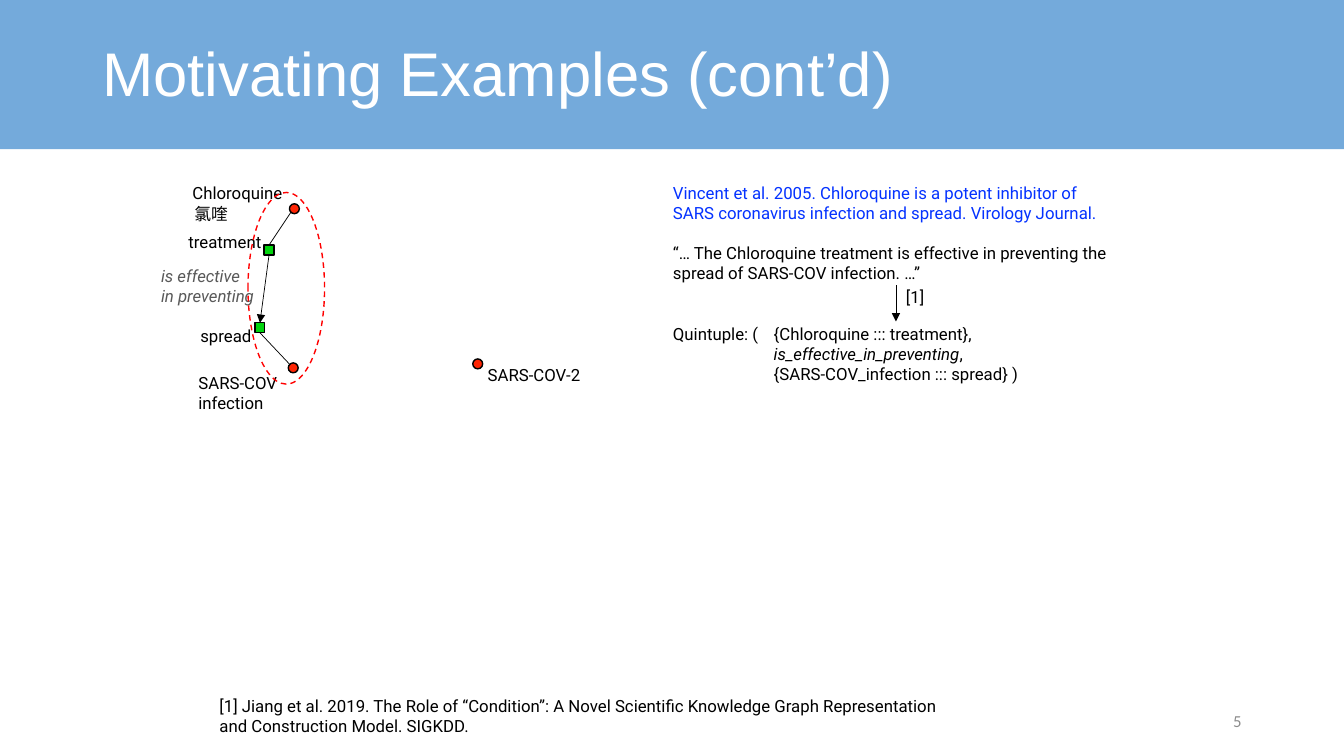
"""Build the "Motivating Examples (cont'd)" slide with its small concept graph."""
from dataclasses import dataclass

from lxml import etree
from pptx import Presentation
from pptx import util as u
from pptx.dml.color import RGBColor
from pptx.enum import dml, shapes, text
from pptx.oxml.ns import qn

SLIDE = (33.87, 19.05)
BAR_H = 3.76
NODE = 0.25
TAB = 2.54

TITLE = "Motivating Examples (cont’d)"
PAGE = "5"

NODES = {
    "chloroquine": ("concept", 7.42, 5.26),
    "treatment": ("attribute", 6.78, 6.3),
    "spread": ("attribute", 6.55, 8.26),
    "infection": ("concept", 7.39, 9.27),
    "sars2": ("concept", 12.04, 9.17),
}
LINKS = [
    ("chloroquine", "treatment", False),
    ("treatment", "spread", True),
    ("infection", "spread", False),
]
LABELS = [
    (["SARS-COV-2"], (12.04, 9.07, 3.1, 0.76)),
    (["SARS-COV", "infection"], (4.75, 9.27, 2.74, 1.27)),
    (["spread"], (4.8, 8.08, 1.83, 0.76)),
    (["treatment"], (4.5, 5.72, 2.34, 0.76)),
    (["Chloroquine"], (4.6, 4.47, 2.79, 0.76)),
    (["氯喹"], (4.65, 5, 1.37, 0.76)),
    (["[1]"], (22.58, 7.09, 0.99, 0.76)),
]
RELATION = (["is effective", "in preventing"], (3.81, 6.58, 2.95, 1.27))
GROUP = (6.25, 4.85, 1.93, 4.83)
STEP = ((22.58, 7.19), (22.58, 8.1))

PAPER = ("Vincent et al. 2005. Chloroquine is a potent inhibitor of SARS "
         "coronavirus infection and spread. Virology Journal.")
QUOTE = ("“… The Chloroquine treatment is effective in preventing the spread "
         "of SARS-COV infection. …”")
QUINTUPLE = [
    [("Quintuple: (\t{Chloroquine ::: treatment},", {})],
    [("is_effective_in_preventing", {"italic": True}), (",", {})],
    [("{SARS-COV_infection ::: spread} )", {})],
]
REFERENCE = ("[1] Jiang et al. 2019. The Role of “Condition”: A Novel Scientific "
             "Knowledge Graph Representation and Construction Model. SIGKDD.")


@dataclass(frozen=True)
class Theme:
    bar: str = "74AADB"
    white: str = "FFFFFF"
    ink: str = "000000"
    muted: str = "595959"
    page: str = "8C8C8C"
    cite: str = "0432FF"
    concept: str = "FE2504"
    attribute: str = "02D40E"
    group: str = "FF0000"
    body_font: str = "Roboto"
    title_font: str = "Arial"
    page_font: str = "Calibri"
    body: float = 12
    title: float = 44
    line: float = 14.4


T = Theme()
KINDS = {
    "concept": (shapes.MSO_SHAPE.OVAL, T.concept),
    "attribute": (shapes.MSO_SHAPE.RECTANGLE, T.attribute),
}


def rgb(color):
    return RGBColor.from_string(color)


def add_run(p, content, size=T.body, font=T.body_font, color=T.ink, italic=False):
    r = p.add_run()
    r.text = content
    r.font.size, r.font.name, r.font.italic = u.Pt(size), font, italic
    r.font.color.rgb = rgb(color)


def add_text(s, paragraphs, box, wrap=True, anchor=text.MSO_ANCHOR.TOP,
             align=text.PP_ALIGN.LEFT, spacing=None, before=(), indents=(), **fmt):
    tf = s.shapes.add_textbox(*map(u.Cm, box)).text_frame
    tf.word_wrap, tf.vertical_anchor = wrap, anchor
    if not wrap:
        tf.auto_size = text.MSO_AUTO_SIZE.SHAPE_TO_FIT_TEXT
    for i, content in enumerate(paragraphs):
        p = tf.paragraphs[0] if i == 0 else tf.add_paragraph()
        p.alignment = align
        if spacing:
            p.line_spacing = spacing
        if before and before[i]:
            p.space_before = u.Pt(before[i])
        if indents and indents[i]:
            pPr = p._p.get_or_add_pPr()
            pPr.set("marL", str(u.Cm(indents[i])))
            pPr.set("indent", "0")
        runs = [(content, {})] if isinstance(content, str) else content
        for words, extra in runs:
            add_run(p, words, **{**fmt, **extra})


def add_shape(s, preset, box, fill=None, line=None, dash=None):
    sp = s.shapes.add_shape(preset, *map(u.Cm, box))
    sp.shadow.inherit = False
    if fill:
        sp.fill.solid()
        sp.fill.fore_color.rgb = rgb(fill)
    else:
        sp.fill.background()
    if line:
        sp.line.color.rgb, sp.line.width = rgb(line), u.Pt(1)
        if dash:
            sp.line.dash_style = dash
    else:
        sp.line.fill.background()


def add_line(s, start, end, arrow=False):
    cx = s.shapes.add_connector(shapes.MSO_CONNECTOR.STRAIGHT,
                                *map(u.Cm, (*start, *end)))
    cx.line.color.rgb, cx.line.width = rgb(T.ink), u.Pt(0.5)
    if arrow:
        etree.SubElement(cx.line._get_or_add_ln(), qn("a:tailEnd"), type="triangle")
    etree.SubElement(cx._element.spPr, qn("a:effectLst"))


def link_end(name, other):
    kind, x, y = NODES[name]
    side = 1 if NODES[other][2] > y else -1
    if kind == "concept":
        return x - 0.35 * NODE, y + side * 0.35 * NODE
    return x, y + side * NODE / 2


def main():
    prs = Presentation()
    prs.slide_width, prs.slide_height = map(u.Cm, SLIDE)
    s = prs.slides.add_slide(prs.slide_layouts[6])
    middle = text.MSO_ANCHOR.MIDDLE

    add_shape(s, shapes.MSO_SHAPE.RECTANGLE, (0, 0, SLIDE[0], BAR_H), fill=T.bar)
    add_text(s, [TITLE], (2.33, 0.08, 29.21, 3.68), anchor=middle, spacing=0.9,
             size=T.title, font=T.title_font, color=T.white)
    add_text(s, [PAGE], (23.92, 17.66, 7.62, 1.01), anchor=middle,
             align=text.PP_ALIGN.RIGHT, font=T.page_font, color=T.page)

    for kind, x, y in NODES.values():
        preset, fill = KINDS[kind]
        add_shape(s, preset, (x - NODE / 2, y - NODE / 2, NODE, NODE),
                  fill=fill, line=T.ink)
    for a, b, arrow in LINKS:
        add_line(s, link_end(a, b), link_end(b, a), arrow)

    add_text(s, [[(PAPER, {"color": T.cite})], QUOTE, *QUINTUPLE],
             (16.71, 4.47, 11.71, 5.38),
             before=(0, T.line, 2 * T.line, 0, 0), indents=(0, 0, 0, TAB, TAB))
    for words, box in LABELS:
        add_text(s, words, box, wrap=False)
    add_text(s, *RELATION, wrap=False, color=T.muted, italic=True)
    add_shape(s, shapes.MSO_SHAPE.OVAL, GROUP, line=T.group,
              dash=dml.MSO_LINE.DASH)
    add_line(s, *STEP, arrow=True)
    add_text(s, [REFERENCE], (5.28, 17.4, 19.1, 1.27))
    prs.save("out.pptx")


if __name__ == "__main__":
    main()
